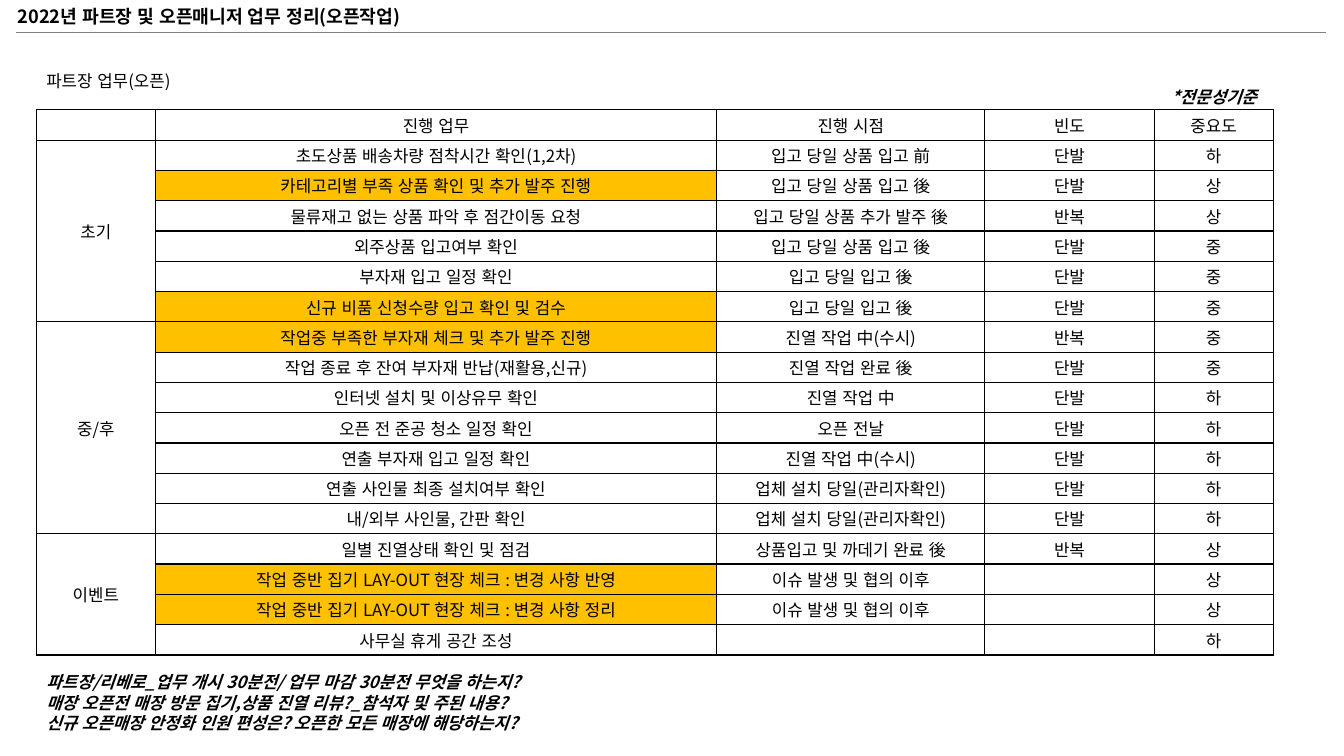
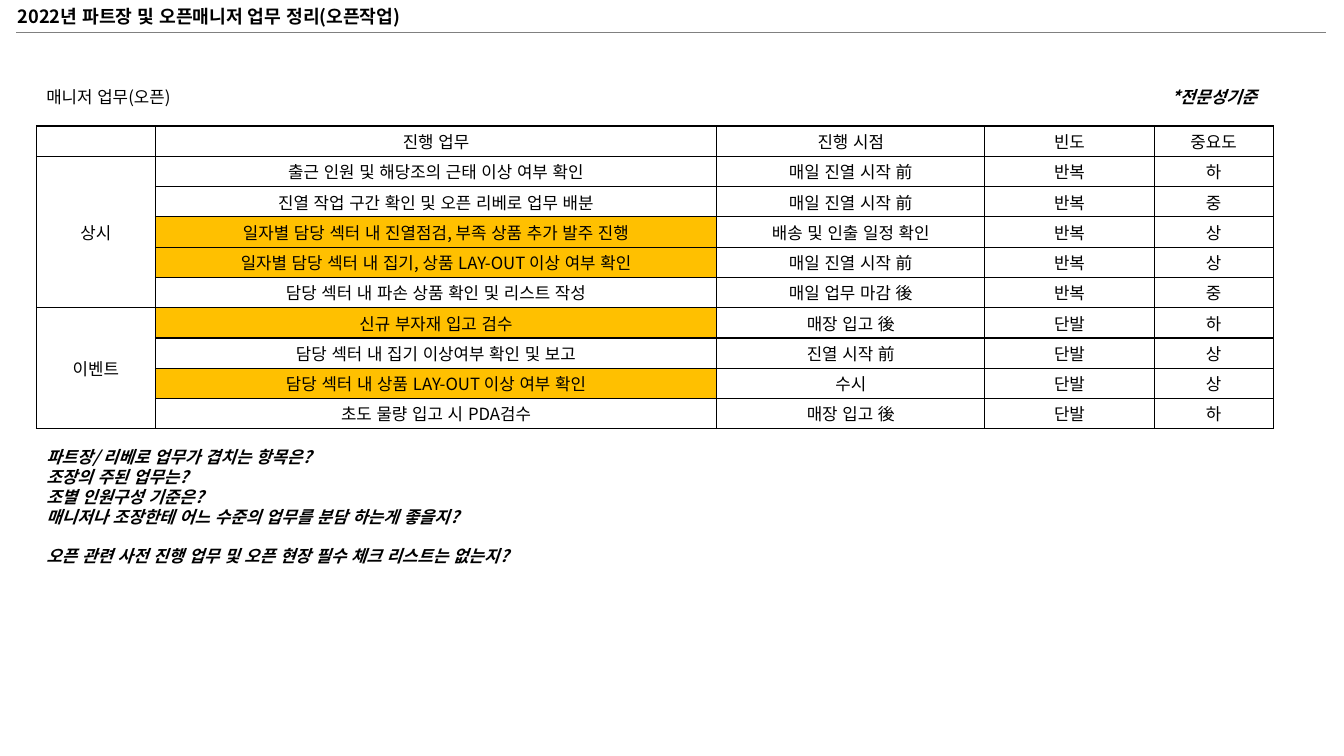
from dataclasses import dataclass

from lxml.etree import SubElement
from pptx import Presentation
from pptx.dml.color import RGBColor
from pptx.enum.lang import MSO_LANGUAGE_ID
from pptx.enum.shapes import MSO_CONNECTOR
from pptx.enum.text import MSO_ANCHOR, MSO_AUTO_SIZE, PP_ALIGN
from pptx.oxml import parse_xml
from pptx.oxml.ns import nsdecls, qn
from pptx.util import Pt

FONT = "Noto Sans CJK KR"
BLACK = RGBColor(0x00, 0x00, 0x00)
WHITE = RGBColor(0xFF, 0xFF, 0xFF)
RULE_GREY = RGBColor(0x80, 0x80, 0x80)
HIGHLIGHT = RGBColor(0xFF, 0xC0, 0x00)

SLIDE_WIDTH, SLIDE_HEIGHT = 960, 540
TITLE = "2022년 파트장 및 오픈매니저 업무 정리(오픈작업)"
CRITERION = "*전문성기준"
HEADERS = ("", "진행 업무", "진행 시점", "빈도", "중요도")
COLUMN_WIDTHS = (85, 401, 191.5, 121, 85)
ROW_HEIGHT = 21.65
CELL_PADDING = 2
TABLE_LEFT = 26
CAPTION_RISE = 31.7
RULE_Y = 23.2


@dataclass(frozen=True)
class Duty:
    task: str
    timing: str
    frequency: str
    importance: str
    highlighted: bool = False


@dataclass(frozen=True)
class Phase:
    name: str
    duties: tuple[Duty, ...]


@dataclass(frozen=True)
class Questions:
    top: float
    height: float
    lines: tuple[str, ...]


@dataclass(frozen=True)
class RolePage:
    caption: str
    table_top: float
    phases: tuple[Phase, ...]
    questions: tuple[Questions, ...]


PAGES = (
    RolePage(
        "파트장 업무(오픈)", 78.5,
        (
            Phase("초기", (
                Duty("초도상품 배송차량 점착시간 확인(1,2차)", "입고 당일 상품 입고 前", "단발", "하"),
                Duty("카테고리별 부족 상품 확인 및 추가 발주 진행", "입고 당일 상품 입고 後", "단발", "상", True),
                Duty("물류재고 없는 상품 파악 후 점간이동 요청", "입고 당일 상품 추가 발주 後", "반복", "상"),
                Duty("외주상품 입고여부 확인", "입고 당일 상품 입고 後", "단발", "중"),
                Duty("부자재 입고 일정 확인", "입고 당일 입고 後", "단발", "중"),
                Duty("신규 비품 신청수량 입고 확인 및 검수", "입고 당일 입고 後", "단발", "중", True),
            )),
            Phase("중/후", (
                Duty("작업중 부족한 부자재 체크 및 추가 발주 진행", "진열 작업 中(수시)", "반복", "중", True),
                Duty("작업 종료 후 잔여 부자재 반납(재활용,신규)", "진열 작업 완료 後", "단발", "중"),
                Duty("인터넷 설치 및 이상유무 확인", "진열 작업 中", "단발", "하"),
                Duty("오픈 전 준공 청소 일정 확인", "오픈 전날", "단발", "하"),
                Duty("연출 부자재 입고 일정 확인", "진열 작업 中(수시)", "단발", "하"),
                Duty("연출 사인물 최종 설치여부 확인", "업체 설치 당일(관리자확인)", "단발", "하"),
                Duty("내/외부 사인물, 간판 확인", "업체 설치 당일(관리자확인)", "단발", "하"),
            )),
            Phase("이벤트", (
                Duty("일별 진열상태 확인 및 점검", "상품입고 및 까데기 완료 後", "반복", "상"),
                Duty("작업 중반 집기 LAY-OUT 현장 체크 : 변경 사항 반영", "이슈 발생 및 협의 이후", "", "상", True),
                Duty("작업 중반 집기 LAY-OUT 현장 체크 : 변경 사항 정리", "이슈 발생 및 협의 이후", "", "상", True),
                Duty("사무실 휴게 공간 조성", "", "", "하"),
            )),
        ),
        (
            Questions(476.6, 51, (
                "파트장/리베로_업무 개시 30분전/ 업무 마감 30분전 무엇을 하는지?",
                "매장 오픈전 매장 방문 집기,상품 진열 리뷰?_참석자 및 주된 내용?",
                "신규 오픈매장 안정화 인원 편성은? 오픈한 모든 매장에 해당하는지?",
            )),
        ),
    ),
    RolePage(
        "매니저 업무(오픈)", 90,
        (
            Phase("상시", (
                Duty("출근 인원 및 해당조의 근태 이상 여부 확인", "매일 진열 시작 前", "반복", "하"),
                Duty("진열 작업 구간 확인 및 오픈 리베로 업무 배분", "매일 진열 시작 前", "반복", "중"),
                Duty("일자별 담당 섹터 내 진열점검, 부족 상품 추가 발주 진행", "배송 및 인출 일정 확인", "반복", "상", True),
                Duty("일자별 담당 섹터 내 집기, 상품 LAY-OUT 이상 여부 확인", "매일 진열 시작 前", "반복", "상", True),
                Duty("담당 섹터 내 파손 상품 확인 및 리스트 작성", "매일 업무 마감 後", "반복", "중"),
            )),
            Phase("이벤트", (
                Duty("신규 부자재 입고 검수", "매장 입고 後", "단발", "하", True),
                Duty("담당 섹터 내 집기 이상여부 확인 및 보고", "진열 시작 前", "단발", "상"),
                Duty("담당 섹터 내 상품 LAY-OUT 이상 여부 확인", "수시", "단발", "상", True),
                Duty("초도 물량 입고 시 PDA검수", "매장 입고 後", "단발", "하"),
            )),
        ),
        (
            Questions(315.4, 65.5, (
                "파트장/ 리베로 업무가 겹치는 항목은?",
                "조장의 주된 업무는?",
                "조별 인원구성 기준은?",
                "매니저나 조장한테 어느 수준의 업무를 분담 하는게 좋을지?",
            )),
            Questions(386, 21.6, (
                "오픈 관련 사전 진행 업무 및 오픈 현장 필수 체크 리스트는 없는지?",
            )),
        ),
    ),
)


def style_paragraph(paragraph, size: float = 12, bold: bool = False,
                    italic: bool = False, align=PP_ALIGN.LEFT) -> None:
    """Format a paragraph: one typeface for Latin and East Asian text, no kerning."""
    paragraph.alignment = align
    font = paragraph.font
    font.size, font.bold, font.italic, font.name = Pt(size), bold, italic, FONT
    font.color.rgb = BLACK
    font.language_id = MSO_LANGUAGE_ID.KOREAN
    defaults = paragraph._p.pPr.find(qn("a:defRPr"))
    defaults.set("kern", "0")
    SubElement(defaults, qn("a:ea"), typeface=FONT)


def add_title(slide) -> None:
    title = slide.shapes.title
    title.left, title.top, title.width, title.height = Pt(5.5), Pt(0), Pt(314), Pt(23)
    frame = title.text_frame
    frame.text = TITLE
    frame.word_wrap = True
    frame.auto_size = MSO_AUTO_SIZE.NONE
    frame.vertical_anchor = MSO_ANCHOR.TOP
    style_paragraph(frame.paragraphs[0], size=13, bold=True)


def add_title_rule(slide) -> None:
    rule = slide.shapes.add_connector(
        MSO_CONNECTOR.STRAIGHT, Pt(11.5), Pt(RULE_Y), Pt(947.5), Pt(RULE_Y))
    rule.line.color.rgb = RULE_GREY
    rule.line.width = Pt(1)
    SubElement(rule._element.spPr, qn("a:effectLst"))


def add_text(slide, lines: tuple[str, ...], left: float, top: float, width: float,
             height: float, emphasis: bool = False) -> None:
    """Add a text box; emphasis makes it bold and italic."""
    frame = slide.shapes.add_textbox(Pt(left), Pt(top), Pt(width), Pt(height)).text_frame
    frame.word_wrap = True
    frame.text = "\n".join(lines)
    for paragraph in frame.paragraphs:
        style_paragraph(paragraph, bold=emphasis, italic=emphasis)


def format_cell(cell, text: str, fill: RGBColor = WHITE) -> None:
    cell.text = text
    cell.vertical_anchor = MSO_ANCHOR.MIDDLE
    cell.margin_top = cell.margin_bottom = Pt(CELL_PADDING)
    cell.fill.solid()
    cell.fill.fore_color.rgb = fill
    style_paragraph(cell.text_frame.paragraphs[0], align=PP_ALIGN.CENTER)
    properties = cell._tc.get_or_add_tcPr()
    for position, side in enumerate(("lnL", "lnR", "lnT", "lnB")):
        properties.insert(position, parse_xml(
            f'<a:{side} {nsdecls("a")} w="{Pt(1)}"><a:solidFill>'
            f'<a:srgbClr val="{BLACK}"/></a:solidFill></a:{side}>'))


def add_duty_table(slide, page: RolePage) -> None:
    row_count = 1 + sum(len(phase.duties) for phase in page.phases)
    table = slide.shapes.add_table(
        row_count, len(HEADERS), Pt(TABLE_LEFT), Pt(page.table_top),
        Pt(sum(COLUMN_WIDTHS)), Pt(row_count * ROW_HEIGHT)).table
    table.first_row = table.horz_banding = False
    for column, width in zip(table.columns, COLUMN_WIDTHS):
        column.width = Pt(width)
    for row in table.rows:
        row.height = Pt(ROW_HEIGHT)
    for column, header in enumerate(HEADERS):
        format_cell(table.cell(0, column), header)

    row = 1
    for phase in page.phases:
        first = row
        for duty in phase.duties:
            format_cell(table.cell(row, 0), phase.name if row == first else "")
            format_cell(table.cell(row, 1), duty.task,
                        HIGHLIGHT if duty.highlighted else WHITE)
            details = (duty.timing, duty.frequency, duty.importance)
            for column, text in enumerate(details, start=2):
                format_cell(table.cell(row, column), text)
            row += 1
        table.cell(first, 0).merge(table.cell(row - 1, 0))


def add_role_slide(deck, page: RolePage) -> None:
    title_only = deck.slide_layouts[5]
    slide = deck.slides.add_slide(title_only)
    add_title_rule(slide)
    add_title(slide)
    add_duty_table(slide, page)
    add_text(slide, (page.caption,), TABLE_LEFT, page.table_top - CAPTION_RISE, 108, 21.6)
    add_text(slide, (CRITERION,), 829.5, 58.3, 80.5, 21.6, emphasis=True)
    for block in page.questions:
        add_text(slide, block.lines, TABLE_LEFT, block.top, 390, block.height, emphasis=True)


def main() -> None:
    deck = Presentation()
    deck.slide_width, deck.slide_height = Pt(SLIDE_WIDTH), Pt(SLIDE_HEIGHT)
    for page in PAGES:
        add_role_slide(deck, page)
    deck.save("out.pptx")


if __name__ == "__main__":
    main()
